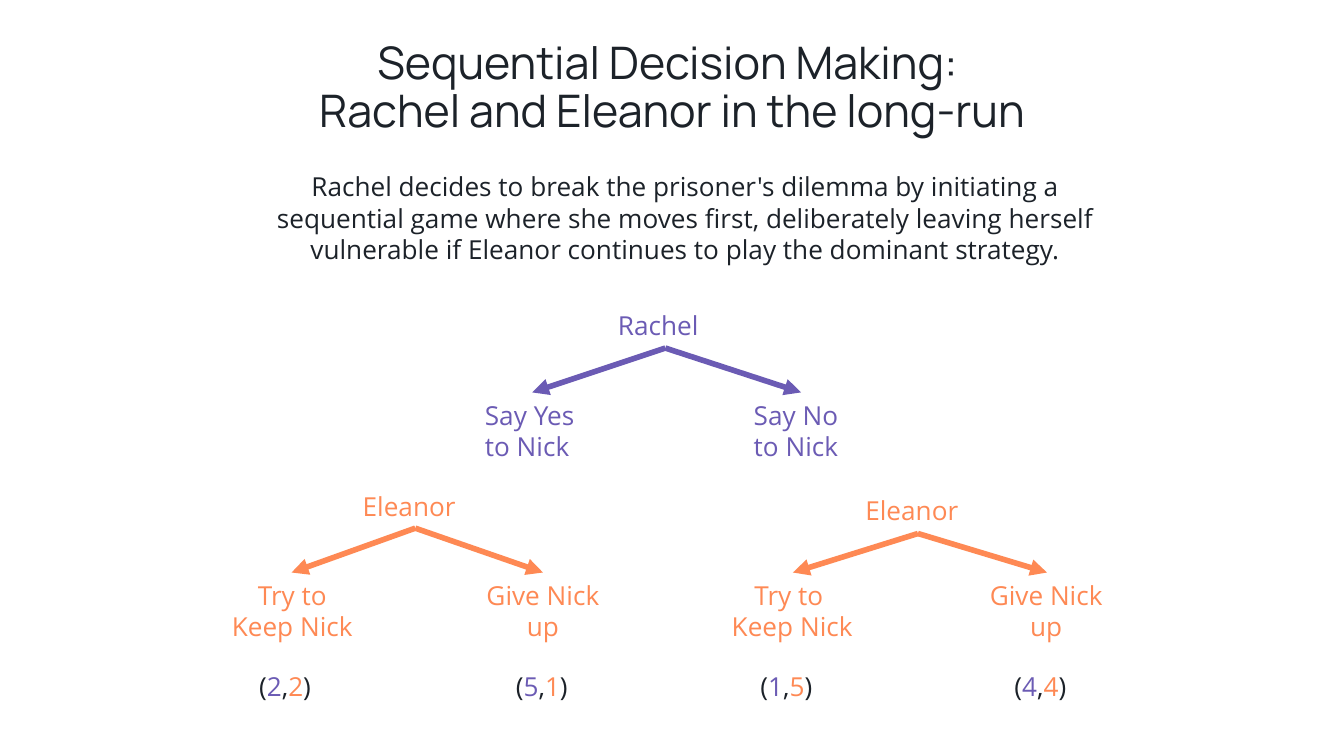
from dataclasses import dataclass

from lxml import etree
from pptx import Presentation
from pptx.dml.color import RGBColor
from pptx.enum import shapes as sh, text as tx
from pptx.oxml import ns
from pptx.util import Inches, Pt


@dataclass(frozen=True)
class Theme:
    ink: str = "1C2229"
    rachel: str = "6B5BB4"
    eleanor: str = "FE8954"
    paper: str = "FFFFFF"
    head: str = "Manrope"
    body: str = "Open Sans"
    big: int = 24
    base: int = 14
    line: int = 3


T = Theme()
WIDE = 10
LEFT, MID = tx.PP_ALIGN.LEFT, tx.PP_ALIGN.CENTER


def apply(obj, fmt):
    for name, value in fmt.items():
        setattr(obj, name, value)


def add_text(slide, box, paras, align=LEFT, font=T.body, size=T.base,
             anchor=tx.MSO_ANCHOR.TOP, grow=tx.MSO_AUTO_SIZE.SHAPE_TO_FIT_TEXT,
             space=None):
    frame = slide.shapes.add_textbox(*map(Inches, box)).text_frame
    apply(frame, {"word_wrap": True, "auto_size": grow,
                  "vertical_anchor": anchor})
    for i, runs in enumerate(paras):
        para = frame.add_paragraph() if i else frame.paragraphs[0]
        apply(para, {"alignment": align, "line_spacing": space})
        for words, color in runs:
            for k, part in enumerate(words.split("\n")):
                if k:
                    para.add_line_break()
                run = para.add_run()
                run.text = part
                apply(run.font, {"name": font, "size": Pt(size)})
                run.font.color.rgb = RGBColor.from_string(color)


def add_arrow(slide, start, end, color):
    link = slide.shapes.add_connector(
        sh.MSO_CONNECTOR.STRAIGHT, *map(Inches, start + end))
    link.line.width = Pt(T.line)
    link.line.color.rgb = RGBColor.from_string(color)
    outline = link._element.spPr.find(ns.qn("a:ln"))
    tail = etree.SubElement(outline, ns.qn("a:tailEnd"))
    tail.set("type", "triangle")
    etree.SubElement(link._element.spPr, ns.qn("a:effectLst"))


def add_node(slide, name, box, top, ends, moves, color, align):
    add_text(slide, box, [[(name, color)]])
    for end in ends:
        add_arrow(slide, top, end, color)
    for place, lines in moves:
        add_text(slide, place, [[(line, color)] for line in lines], align)


def add_score(slide, left, hers, other):
    add_text(slide, (left, 4.94, 0.67, 0.34), [[
        ("(", T.ink), (hers, T.rachel), (",", T.ink),
        (other, T.eleanor), (")", T.ink)]])


def main():
    deck = Presentation()
    apply(deck, {"slide_width": Inches(WIDE),
                 "slide_height": Inches(WIDE * 9 / 16)})
    slide = deck.slides.add_slide(deck.slide_layouts[6])
    fill = slide.background.fill
    fill.solid()
    fill.fore_color.rgb = RGBColor.from_string(T.paper)

    title = "Sequential Decision Making: \nRachel and Eleanor in the long-run"
    add_text(slide, (1.25, 0.19, 7.5, 0.94), [[(title, T.ink)]], MID,
             T.head, T.big, tx.MSO_ANCHOR.MIDDLE, tx.MSO_AUTO_SIZE.NONE, 0.9)

    add_node(slide, "Rachel", (4.5, 2.25, 0.9, 0.34), (4.95, 2.59),
             [(3.96, 2.92), (5.96, 2.92)],
             [((3.51, 2.92, 0.9, 0.57), ["Say Yes to Nick"]),
              ((5.51, 2.92, 0.9, 0.57), ["Say No to Nick"])],
             T.rachel, LEFT)
    add_node(slide, "Eleanor", (6.34, 3.63, 0.99, 0.34), (6.83, 3.97),
             [(5.9, 4.26), (7.79, 4.26)],
             [((5.28, 4.26, 1.23, 0.57), ["Try to ", "Keep Nick"]),
              ((7.2, 4.26, 1.17, 0.57), ["Give Nick up"])],
             T.eleanor, MID)
    add_node(slide, "Eleanor", (2.6, 3.6, 0.99, 0.34), (3.09, 3.93),
             [(2.17, 4.26), (4.04, 4.26)],
             [((1.59, 4.26, 1.17, 0.57), ["Try to Keep Nick"]),
              ((3.43, 4.26, 1.22, 0.57), ["Give Nick up"])],
             T.eleanor, MID)

    for score in [(1.83, "2", "2"), (3.74, "5", "1"),
                  (5.56, "1", "5"), (7.45, "4", "4")]:
        add_score(slide, *score)

    intro = ("Rachel decides to break the prisoner's dilemma by initiating a "
             "sequential game where she moves first, deliberately leaving "
             "herself vulnerable if Eleanor continues to play the dominant "
             "strategy.")
    add_text(slide, (1.76, 1.22, 6.68, 0.81), [[(intro, T.ink)]], MID)
    deck.save("out.pptx")


if __name__ == "__main__":
    main()
